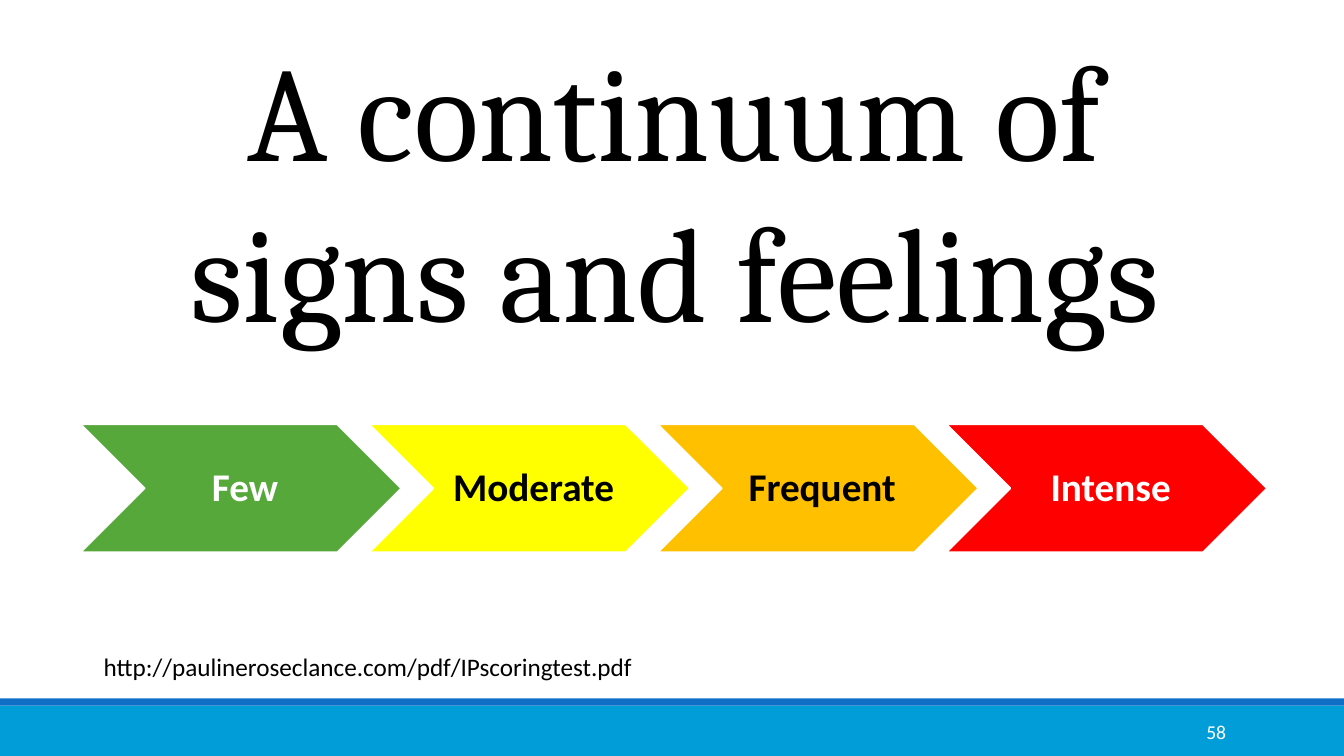
from pptx import Presentation
from pptx.dml.color import RGBColor
from pptx.enum.shapes import MSO_SHAPE as SHAPE
from pptx.enum.text import MSO_ANCHOR as ANCHOR, PP_ALIGN as ALIGN
from pptx.util import Inches, Pt

WHITE = RGBColor(0xFF, 0xFF, 0xFF)
BLACK = RGBColor(0, 0, 0)
SKY = RGBColor(0x00, 0x9D, 0xD9)
BLUE = RGBColor(0x0F, 0x6F, 0xC6)
GREEN = RGBColor(0x55, 0xA8, 0x39)
YELLOW = RGBColor(0xFF, 0xFF, 0x00)
ORANGE = RGBColor(0xFF, 0xC0, 0x00)
RED = RGBColor(0xFF, 0x00, 0x00)

BANDS = [((0, 7, 13.33, 0.5), SKY), ((0, 6.93, 13.33, 0.07), BLUE)]
TITLE = ["A continuum of", "signs and feelings"]
LINK = ["http://paulineroseclance.com/pdf/IPscoringtest.pdf"]
PAGE = ["58"]
STAGES = [
    ("Few", GREEN, WHITE),
    ("Moderate", YELLOW, BLACK),
    ("Frequent", ORANGE, BLACK),
    ("Intense", RED, WHITE),
]
STAGE_LEFT, STAGE_TOP, STAGE_W, STAGE_H = 0.8, 4.21, 3.18, 1.27
STAGE_STEP = 0.9 * STAGE_W

TITLE_FONT = dict(name="Cambria", size=Pt(96))
LINK_FONT = dict(name="Calibri", size=Pt(18))
PAGE_FONT = dict(name="Calibri", size=Pt(14))
STAGE_FONT = dict(name="Calibri", size=Pt(28), bold=True)
STAGE_MARGINS = dict(margin_left=Inches(0.12), margin_right=Inches(0.04),
                     margin_top=Inches(0.04), margin_bottom=Inches(0.04))


def set_all(target, values):
    for name, value in values.items():
        setattr(target, name, value)


def write(tf, lines, font, color, align, **frame):
    set_all(tf, dict(word_wrap=True) | frame)
    for i, line in enumerate(lines):
        p = tf.paragraphs[0] if i == 0 else tf.add_paragraph()
        p.alignment = align
        r = p.add_run()
        r.text = line
        set_all(r.font, font)
        r.font.color.rgb = color


def add_box(s, at, *text, **frame):
    sp = s.shapes.add_textbox(*map(Inches, at))
    write(sp.text_frame, *text, **frame)


def add_filled(s, kind, at, fill):
    sp = s.shapes.add_shape(kind, *map(Inches, at))
    sp.shadow.inherit = False
    sp.fill.solid()
    sp.fill.fore_color.rgb = fill
    sp.line.fill.background()
    return sp


prs = Presentation()
prs.slide_width, prs.slide_height = Inches(13.33), Inches(7.5)
s = prs.slides.add_slide(prs.slide_layouts[6])

for at, color in BANDS:
    add_filled(s, SHAPE.RECTANGLE, at, color)

add_box(s, (10.83, 7.06, 1.43, 0.4), PAGE, PAGE_FONT, WHITE, ALIGN.RIGHT,
        vertical_anchor=ANCHOR.MIDDLE)
add_box(s, (0.43, 0.22, 12.52, 3.33), TITLE, TITLE_FONT, BLACK, ALIGN.CENTER)

for i, (label, fill, color) in enumerate(STAGES):
    at = (STAGE_LEFT + i * STAGE_STEP, STAGE_TOP, STAGE_W, STAGE_H)
    sp = add_filled(s, SHAPE.CHEVRON, at, fill)
    sp.line.color.rgb = WHITE
    sp.line.width = Pt(1.25)
    write(sp.text_frame, [label], STAGE_FONT, color, ALIGN.CENTER,
          vertical_anchor=ANCHOR.MIDDLE, **STAGE_MARGINS)
    sp.text_frame.paragraphs[0].line_spacing = 0.9

add_box(s, (0.93, 6.41, 5.51, 0.4), LINK, LINK_FONT, BLACK, ALIGN.LEFT,
        word_wrap=False)

prs.save("out.pptx")
